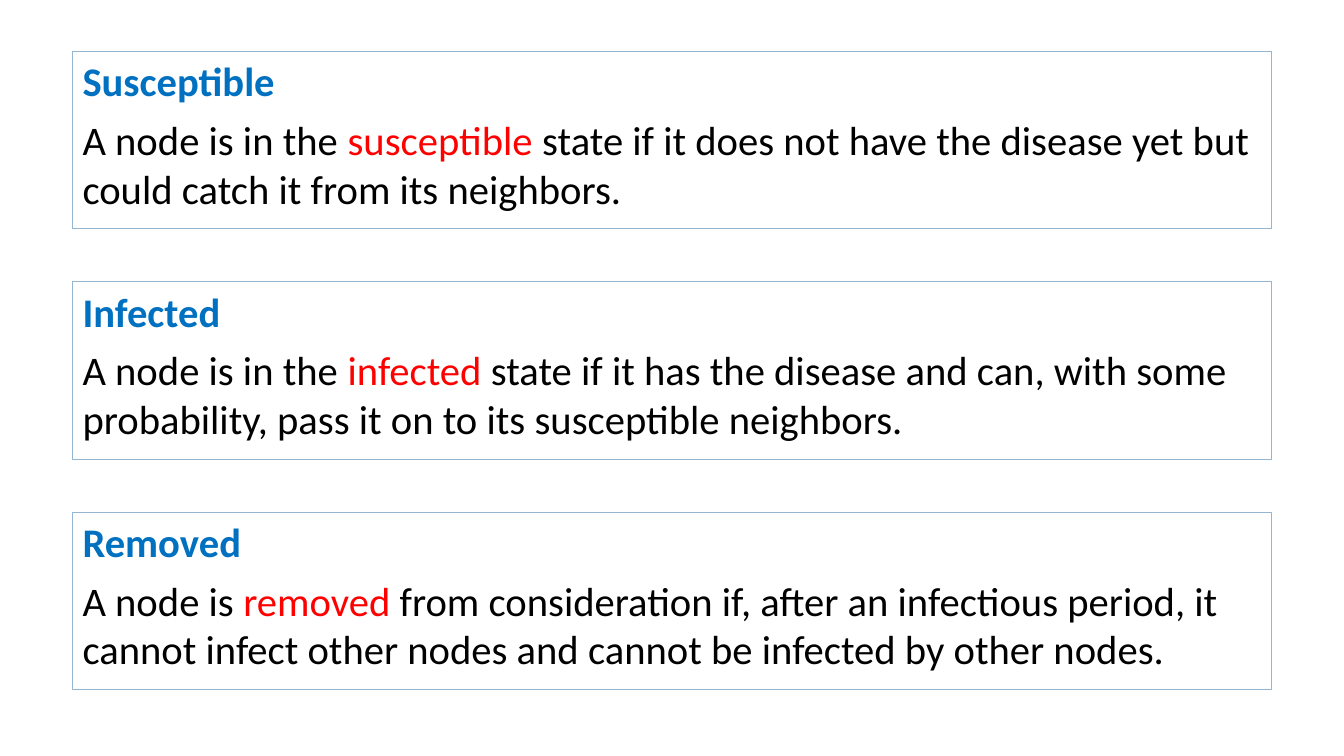
from dataclasses import dataclass

from pptx import Presentation
from pptx.dml.color import RGBColor
from pptx.enum.shapes import MSO_SHAPE
from pptx.enum.text import MSO_ANCHOR, PP_ALIGN
from pptx.util import Inches, Pt


@dataclass(frozen=True)
class Theme:
    font: str = "Calibri"
    size: float = 29
    gap: float = 7
    line_width: float = 0.75
    heading: str = "0070C0"
    body: str = "000000"
    accent: str = "FF0000"
    border: str = "94B6D2"


THEME = Theme()
LEFT, TOP, WIDTH, HEIGHT, PITCH = 0.72, 0.51, 11.89, 1.76, 2.285

# Heading, then the definition before, at and after its key term
STATES = [
    ("Susceptible", "A node is in the ", "susceptible",
     " state if it does not have the disease yet but could catch it from its neighbors."),
    ("Infected", "A node is in the ", "infected",
     " state if it has the disease and can, with some probability, "
     "pass it on to its susceptible neighbors."),
    ("Removed", "A node is ", "removed",
     " from consideration if, after an infectious period, it cannot infect other nodes "
     "and cannot be infected by other nodes."),
]


def add_run(p, text, *, color=THEME.body, bold=False):
    r = p.add_run()
    r.text = text
    r.font.name = THEME.font
    r.font.size = Pt(THEME.size)
    r.font.bold = bold
    r.font.color.rgb = RGBColor.from_string(color)


def add_state_box(s, top, heading, before, term, after):
    sp = s.shapes.add_shape(MSO_SHAPE.RECTANGLE, Inches(LEFT), Inches(top),
                            Inches(WIDTH), Inches(HEIGHT))
    sp.shadow.inherit = False
    sp.fill.background()
    sp.line.color.rgb = RGBColor.from_string(THEME.border)
    sp.line.width = Pt(THEME.line_width)

    tf = sp.text_frame
    tf.word_wrap = True
    tf.vertical_anchor = MSO_ANCHOR.TOP
    title = tf.paragraphs[0]
    definition = tf.add_paragraph()
    definition.space_before = Pt(THEME.gap)
    for p in (title, definition):
        p.alignment = PP_ALIGN.LEFT

    add_run(title, heading, color=THEME.heading, bold=True)
    add_run(definition, before)
    add_run(definition, term, color=THEME.accent)
    add_run(definition, after)


def main():
    prs = Presentation()
    prs.slide_width = Inches(13.33)
    prs.slide_height = Inches(7.5)
    s = prs.slides.add_slide(prs.slide_layouts[6])
    for i, state in enumerate(STATES):
        add_state_box(s, TOP + i * PITCH, *state)
    prs.save("out.pptx")


if __name__ == "__main__":
    main()
